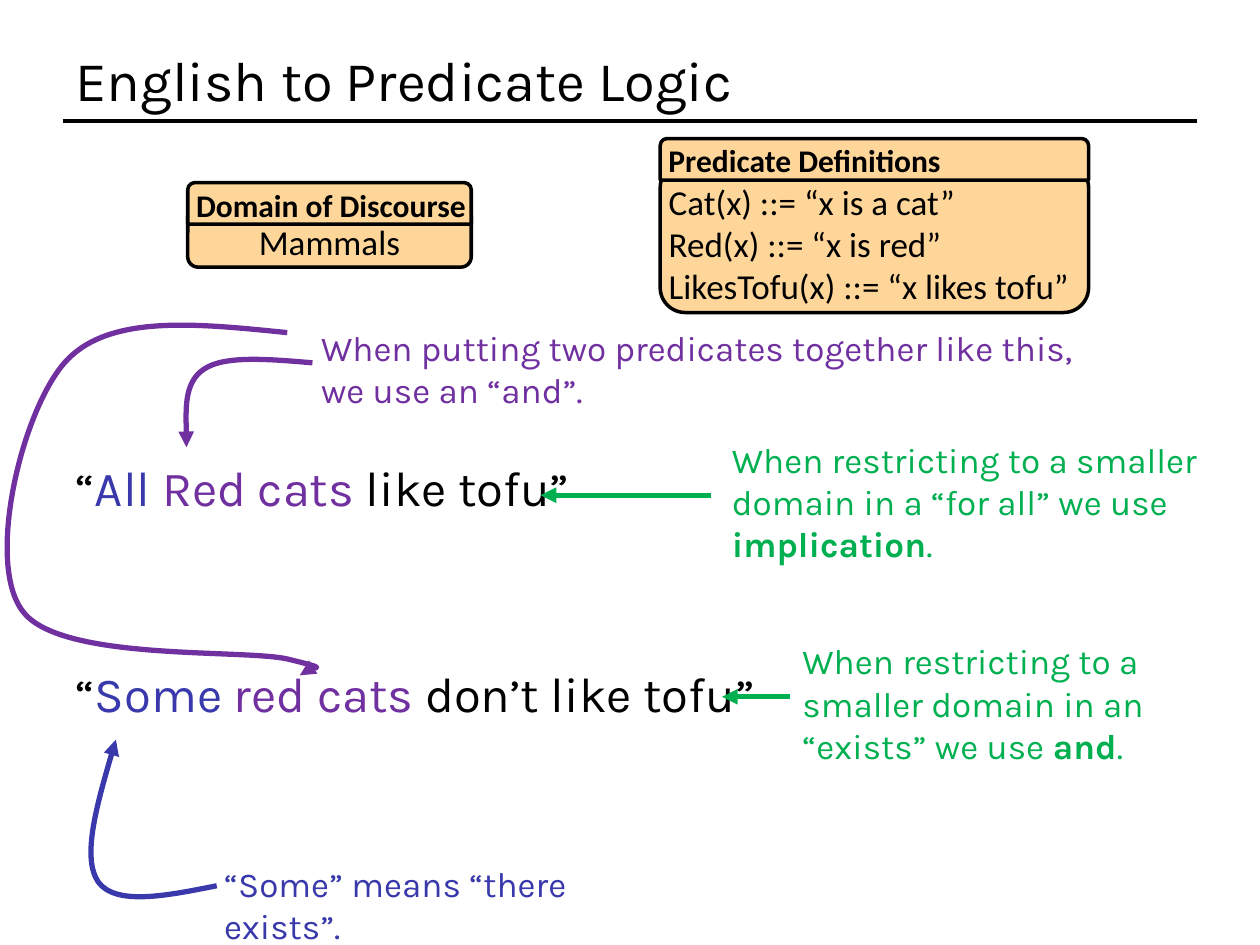
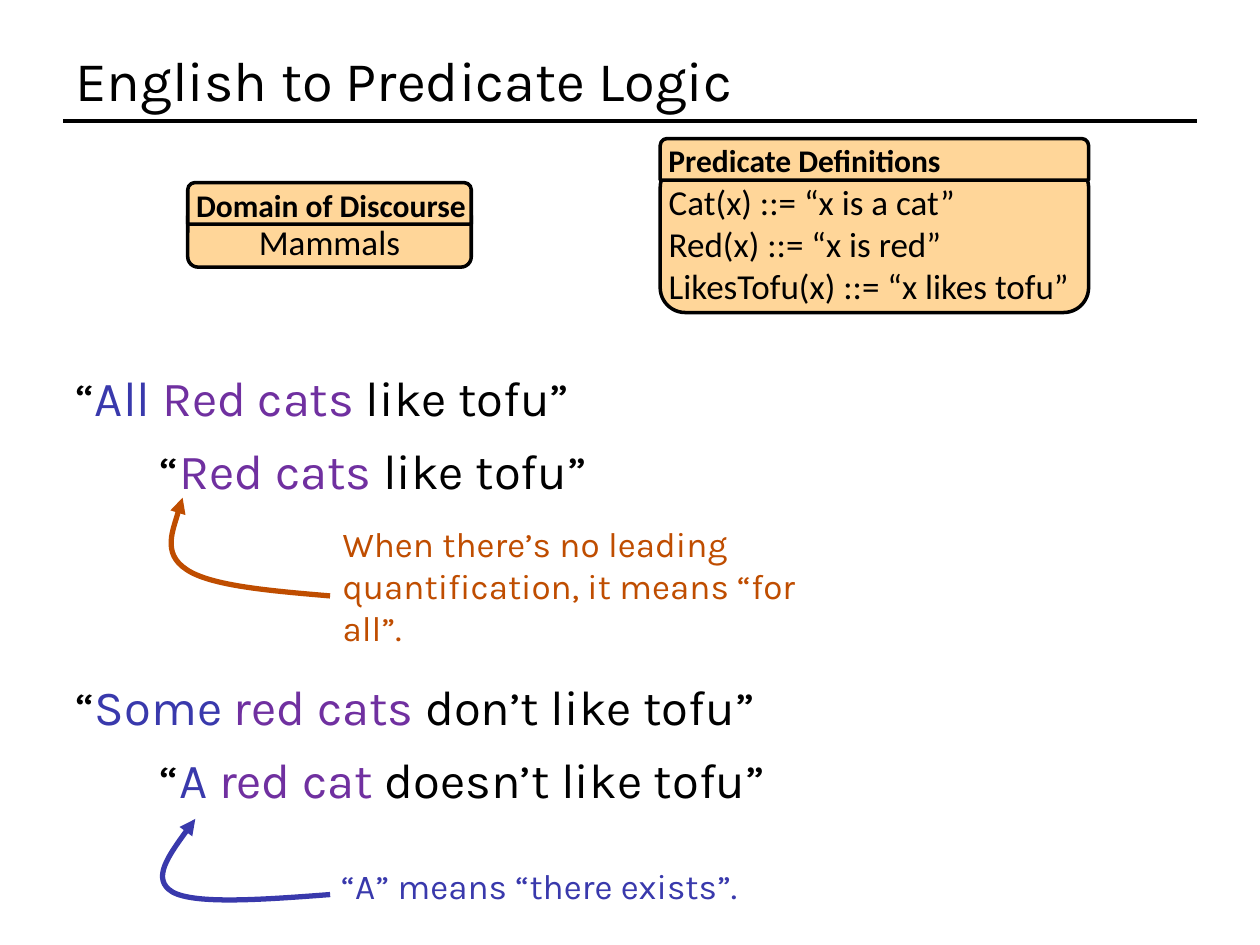
import pptx
import pptx.util
import pptx.dml.color
import pptx.enum.shapes
import pptx.enum.text
import pptx.oxml.ns
import lxml.etree

PX = 9144
HUE = {
    "ink": "000000", "sand": "FFD699", "blue": "3939AC",
    "plum": "7030A0", "green": "00B050", "rust": "BF4D00",
}
KIND = pptx.enum.shapes.MSO_SHAPE
MID = pptx.enum.text.MSO_ANCHOR.MIDDLE
TOP = pptx.enum.text.MSO_ANCHOR.TOP
LEFT = pptx.enum.text.PP_ALIGN.LEFT
MEAN = pptx.enum.text.PP_ALIGN.CENTER
qn = pptx.oxml.ns.qn


def write(shape, rows, size, font="Karla", pad=(10, 5, 10, 5), anchor=TOP, align=LEFT, gap=0):
    frame = shape.text_frame
    frame.word_wrap = True
    frame.vertical_anchor = anchor
    frame.margin_left, frame.margin_top, frame.margin_right, frame.margin_bottom = [n * PX for n in pad]
    for i, row in enumerate(rows):
        para = frame.paragraphs[0] if i == 0 else frame.add_paragraph()
        para.alignment = align
        if i and gap:
            para.space_before = pptx.util.Pt(gap)
        for text, hue, bold in row:
            run = para.add_run()
            run.text = text
            run.font.size = pptx.util.Pt(size)
            run.font.name = font
            run.font.bold = bold
            run.font.color.rgb = pptx.dml.color.RGBColor.from_string(HUE[hue])


def stroke(shape, hue, width, arrow=False):
    shape.line.color.rgb = pptx.dml.color.RGBColor.from_string(HUE[hue])
    shape.line.width = pptx.util.Pt(width)
    props = shape.element.spPr
    if arrow:
        lxml.etree.SubElement(props.find(qn("a:ln")), qn("a:tailEnd"), type="triangle")
    if props.find(qn("a:effectLst")) is None:
        lxml.etree.SubElement(props, qn("a:effectLst"))


cards = [
    ("Predicate Definitions", (524, 110, 340), 19, 119, LEFT,
     ["Cat(x) ::= “x is a cat”", "Red(x) ::= “x is red”", "LikesTofu(x) ::= “x likes tofu”"]),
    ("Domain of Discourse", (149, 145, 225), 18, 49, MEAN, ["Mammals"]),
]
all_cats = [("“", "ink"), ("All ", "blue"), ("Red cats", "plum"), (" like tofu”", "ink")]
some_cats = [("“", "ink"), ("Some ", "blue"), ("red cats", "plum"), (" don’t like tofu”", "ink")]
bare_cats = [("“", "ink"), ("Red cats", "plum"), (" like tofu”", "ink")]
one_cat = [("“", "ink"), ("A ", "blue"), ("red cat", "plum"), (" doesn’t like tofu”", "ink")]

pages = [
    {
        "claims": [((50, 358, 900, 293), 84, [all_cats, some_cats])],
        "curves": [
            ("plum", (148, 285, 100, 70),
             [(248, 288), (213, 285), (178, 282), (162, 293), (145, 304), (148, 355), (148, 355)]),
            ("blue", (73, 587, 99, 125),
             [(172, 703), (132, 711), (92, 719), (78, 700), (65, 681), (78, 634), (92, 587)]),
            ("plum", (6, 258, 242, 278),
             [(228, 264), (158, 257), (88, 249), (53, 286), (18, 323), (-12, 446), (18, 485),
              (47, 525), (191, 515), (228, 523), (265, 532), (238, 536), (238, 536)]),
        ],
        "arrows": [(564, 429, 393), (627, 573, 553)],
        "notes": [
            ((168, 680, 380, 44), "blue", ["“Some” means “there exists”."]),
            ((245, 254, 644, 77), "plum",
             ["When putting two predicates together like this, we use an “and”."]),
            ((571, 343, 429, 111), "green",
             ["When restricting to a smaller domain in a “for all” we use ", "implication", "."]),
            ((627, 503, 367, 111), "green",
             ["When restricting to a smaller domain in an “exists” we use ", "and", "."]),
        ],
    },
    {
        "claims": [
            ((50, 287, 900, 293), 142.8, [all_cats, some_cats]),
            ((117, 345, 883, 293), 142.8, [bare_cats, one_cat]),
        ],
        "curves": [
            ("rust", (138, 395, 124, 77),
             [(262, 473), (215, 469), (167, 465), (148, 452), (128, 439), (145, 395), (145, 395)]),
            ("blue", (130, 650, 132, 64),
             [(262, 710), (209, 714), (155, 718), (137, 708), (120, 698), (137, 674), (155, 650)]),
        ],
        "arrows": [],
        "notes": [
            ((262, 410, 419, 77), "rust",
             ["When there’s no leading quantification, it means “for all”."]),
            ((261, 681, 380, 44), "blue", ["“A” means “there exists”."]),
        ],
    },
]

deck = pptx.Presentation()
deck.slide_width = 1000 * PX
deck.slide_height = 750 * PX

for page in pages:
    shapes = deck.slides.add_slide(deck.slide_layouts[6]).shapes

    rule = shapes.add_connector(pptx.enum.shapes.MSO_CONNECTOR.STRAIGHT, 50 * PX, 96 * PX, 950 * PX, 96 * PX)
    stroke(rule, "ink", 2)
    title = shapes.add_textbox(50 * PX, 30 * PX, 900 * PX, 66 * PX)
    write(title, [[("English to Predicate Logic", "ink", False)]], 32, anchor=MID)

    for box, gap, rows in page["claims"]:
        claim = shapes.add_textbox(*[n * PX for n in box])
        write(claim, [[(text, hue, False) for text, hue in row] for row in rows], 28, gap=gap)

    for head, (left, top, width), drop, height, align, lines in cards:
        group = shapes.add_group_shape().shapes
        body = group.add_shape(KIND.ROUNDED_RECTANGLE, left * PX, (top + drop) * PX, width * PX, height * PX)
        band = group.add_shape(KIND.ROUND_2_SAME_RECTANGLE, left * PX, top * PX, width * PX, 33 * PX)
        for part in (body, band):
            part.shadow.inherit = False
            part.fill.solid()
            part.fill.fore_color.rgb = pptx.dml.color.RGBColor.from_string(HUE["sand"])
            stroke(part, "ink", 2)
        write(body, [[(line, "ink", False)] for line in lines], 20, "Calibri", (1, 10, 1, 1), MID, align)
        write(band, [[(head, "ink", True)]], 18, "Calibri", (5, 0, 0, 0), MID)

    for hue, (left, top, width, height), dots in page["curves"]:
        build = shapes.build_freeform(left, top, scale=PX)
        build.add_line_segments([(left + width, top + height)], close=False)
        curve = build.convert_to_shape()
        curve.shadow.inherit = False
        curve.fill.background()
        stroke(curve, hue, 3, True)
        route = curve.element.spPr.find(".//" + qn("a:path"))
        for step in list(route):
            route.remove(step)
        for i, (x, y) in enumerate(dots):
            if i == 0:
                step = lxml.etree.SubElement(route, qn("a:moveTo"))
            elif i % 3 == 1:
                step = lxml.etree.SubElement(route, qn("a:cubicBezTo"))
            lxml.etree.SubElement(step, qn("a:pt"), x=str(x - left), y=str(y - top))

    for start, end, y in page["arrows"]:
        arrow = shapes.add_connector(pptx.enum.shapes.MSO_CONNECTOR.STRAIGHT, start * PX, y * PX, end * PX, y * PX)
        stroke(arrow, "green", 3, True)

    for box, hue, parts in page["notes"]:
        note = shapes.add_textbox(*[n * PX for n in box])
        write(note, [[(text, hue, i == 1) for i, text in enumerate(parts)]], 20)

deck.save("out.pptx")
